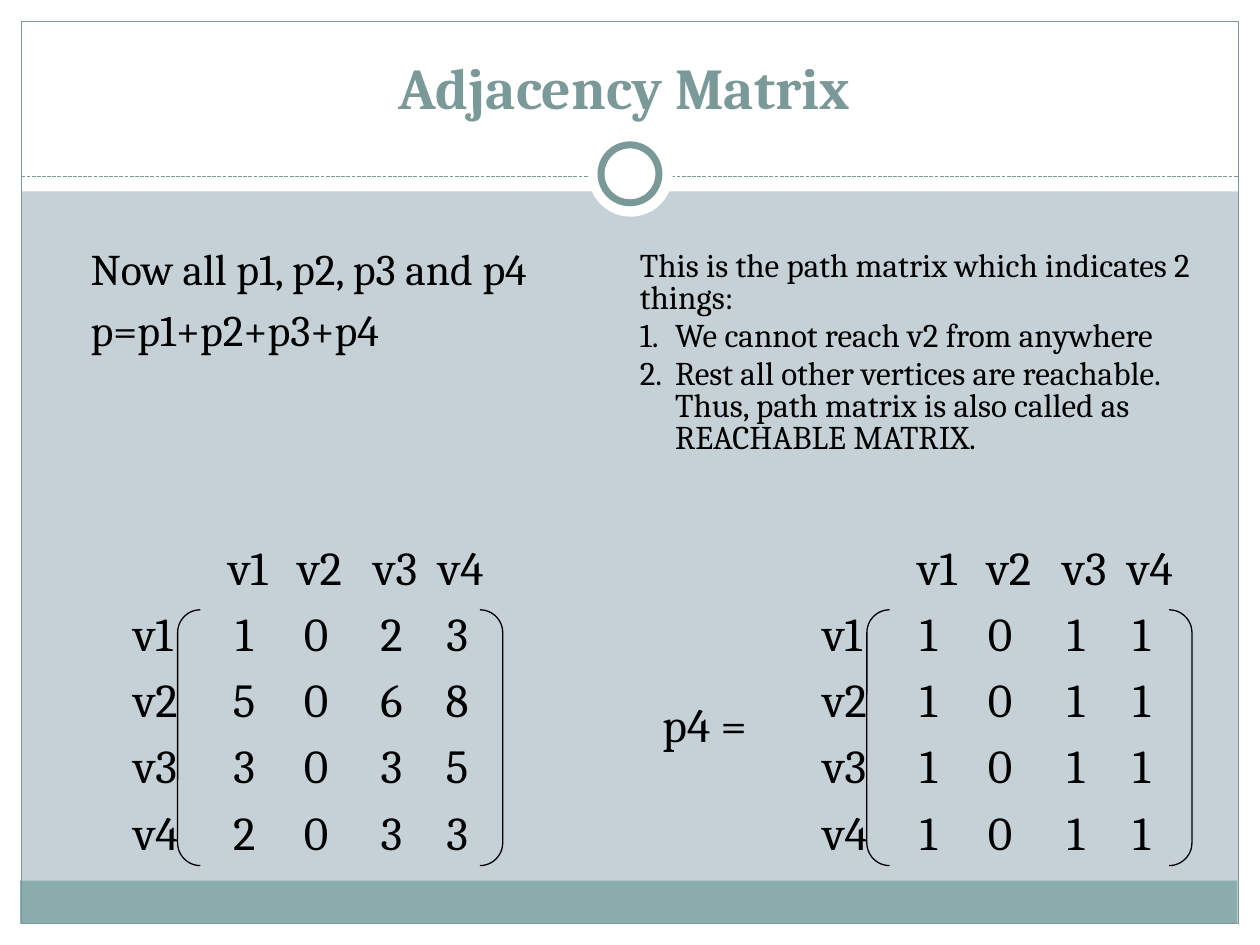
from lxml.etree import SubElement
from pptx import Presentation
from pptx.dml.color import RGBColor
from pptx.enum.dml import MSO_LINE
from pptx.enum.shapes import MSO_CONNECTOR, MSO_SHAPE
from pptx.enum.text import MSO_ANCHOR, PP_ALIGN
from pptx.oxml.ns import qn
from pptx.util import Inches, Pt

HUES = {"back": "C5D1D7", "white": "FFFFFF", "band": "8CADAE",
        "rule": "7C999A", "ink": "000000"}
FONT = "Cambria"
TITLE = "Adjacency Matrix"
SUMS = ["Now all p1, p2, p3 and p4", "p=p1+p2+p3+p4"]
INTRO = "This is the path matrix which indicates 2 things:"
FACTS = ["We cannot reach v2 from anywhere",
         "Rest all other vertices are reachable. Thus, path matrix is also "
         "called as REACHABLE MATRIX."]
NAMES = ["v1", "v2", "v3", "v4"]
# left edge, shift of the digits from the headings, rows
GRIDS = [
    (0.96, -0.03, ["1023", "5068", "3035", "2033"]),
    (6.43, -0.07, ["1011"] * 4),
]
STOPS = [0.91, 1.48, 2.08, 2.6]  # column centres from the text edge

FRAME = [(0, 7.33, 10, 0.17), (0, 0, 10, 1.52),
         (0, 0, 0.17, 7.5), (9.83, 0, 0.17, 7.5)]


def hue(name):
    return RGBColor.from_string(HUES[name])


def draw(kind, box, fill=None, line=None, width=0.75):
    shape = slide.shapes.add_shape(kind, *map(Inches, box))
    shape.shadow.inherit = False
    if fill:
        shape.fill.solid()
        shape.fill.fore_color.rgb = hue(fill)
    else:
        shape.fill.background()
    if line:
        shape.line.color.rgb = hue(line)
        shape.line.width = Pt(width)
    else:
        shape.line.fill.background()
    return shape


def write(box, lines, size, color="ink", bold=False, tune=None):
    """Add a text box; tune(index, paragraph) sets tabs or bullets."""
    frame = slide.shapes.add_textbox(*map(Inches, box)).text_frame
    frame.word_wrap = True
    for i, line in enumerate(lines):
        para = frame.paragraphs[0] if i == 0 else frame.add_paragraph()
        para.text = line
        if i:
            para.space_before = Pt(size * 0.2)
        if tune:
            tune(i, para)
        font = para.font
        font.name, font.size, font.bold = FONT, Pt(size), bold
        font.color.rgb = hue(color)
    return frame


def number(i, para):
    para.line_spacing = 0.8
    if i:
        props = para._p.get_or_add_pPr()
        props.set("marL", str(Inches(0.28)))
        props.set("indent", str(Inches(-0.28)))
        SubElement(props, qn("a:buFont"), typeface=FONT)
        SubElement(props, qn("a:buAutoNum"), type="arabicPeriod")


def matrix(left, shift, rows):
    def tabs(i, para):
        group = SubElement(para._p.get_or_add_pPr(), qn("a:tabLst"))
        for stop in STOPS:
            pos = Inches(stop + (shift if i else 0))
            SubElement(group, qn("a:tab"), pos=str(pos), algn="ctr")

    lines = ["\t".join(["", *NAMES])]
    lines += ["\t".join([name, *row]) for name, row in zip(NAMES, rows)]
    write((left, 4.22, 3.2, 2.75), lines, 27, tune=tabs)
    pair = draw(MSO_SHAPE.DOUBLE_BRACKET, (left + 0.45, 4.84, 2.58, 2.03),
                line="ink")
    pair.adjustments[0] = 0.089


deck = Presentation()
deck.slide_width, deck.slide_height = Inches(10), Inches(7.5)
slide = deck.slides.add_slide(deck.slide_layouts[6])
slide.background.fill.solid()
slide.background.fill.fore_color.rgb = hue("back")

for box in FRAME:
    draw(MSO_SHAPE.RECTANGLE, box, "white")
draw(MSO_SHAPE.RECTANGLE, (0.16, 6.99, 9.66, 0.34), "band")
draw(MSO_SHAPE.RECTANGLE, (0.17, 0.17, 9.66, 7.16), line="rule")
rule = slide.shapes.add_connector(
    MSO_CONNECTOR.STRAIGHT, *map(Inches, (0.17, 1.4, 9.83, 1.4)))
rule.line.color.rgb = hue("rule")
rule.line.width = Pt(0.75)
rule.line.dash_style = MSO_LINE.SQUARE_DOT
SubElement(rule._element.spPr, qn("a:effectLst"))
draw(MSO_SHAPE.OVAL, (4.67, 1.05, 0.67, 0.67), "white")
draw(MSO_SHAPE.OVAL, (4.77, 1.15, 0.46, 0.46), "white", "rule", 4)

title = write((1.87, 0.31, 6.17, 0.7), [TITLE], 33, "rule", True)
title.vertical_anchor = MSO_ANCHOR.BOTTOM
title.paragraphs[0].alignment = PP_ALIGN.CENTER
for grid in GRIDS:
    matrix(*grid)
write((5.16, 5.47, 1.2, 0.6), ["p4 ="], 27)
write((0.62, 1.87, 4.22, 1.25), SUMS, 25)
write((4.98, 1.95, 4.71, 2.11), [INTRO, *FACTS], 18.9, tune=number)

deck.save("out.pptx")
